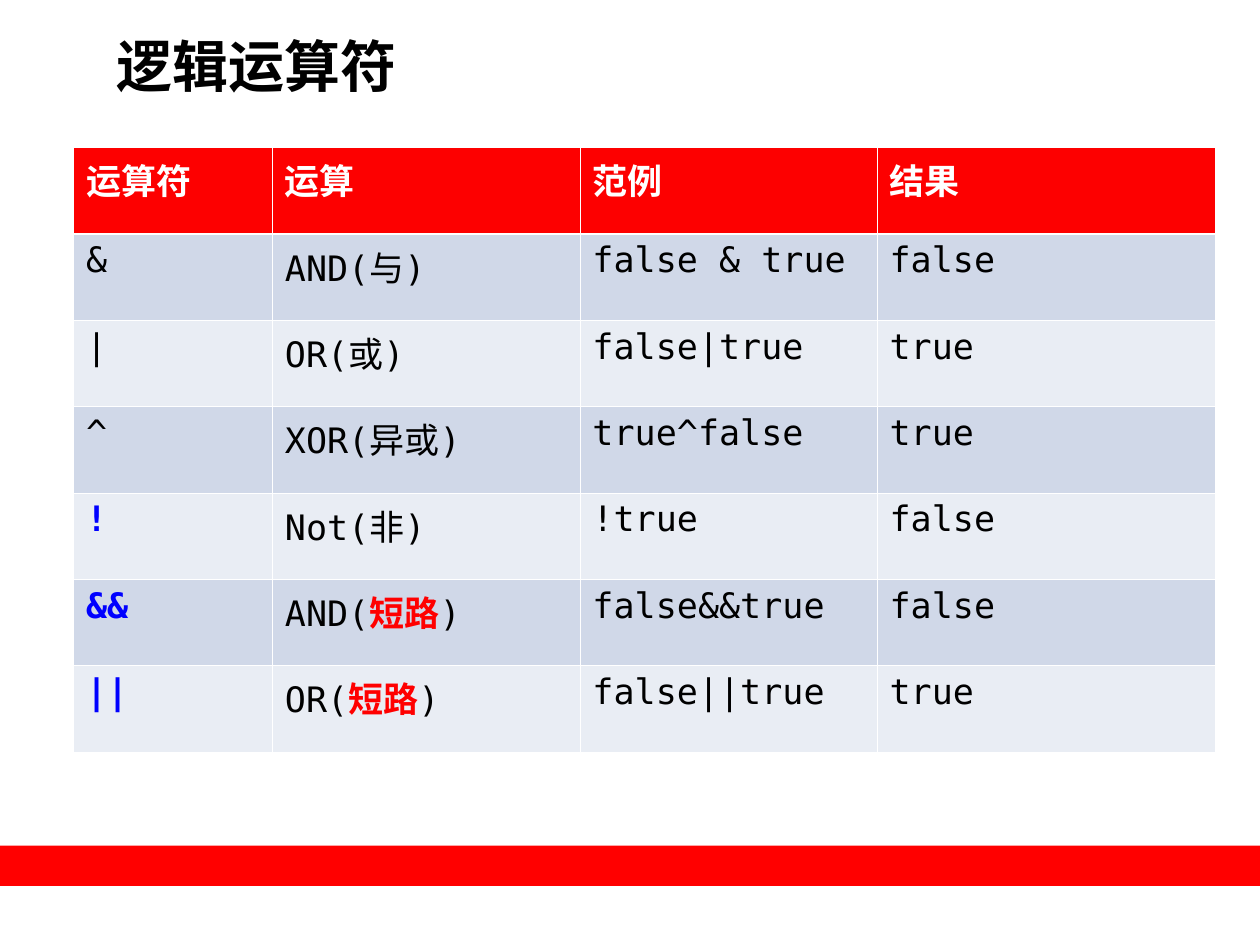
"""Build a slide with a table of logical operators."""
from dataclasses import dataclass

from lxml import etree
from pptx import Presentation
from pptx import util as u
from pptx.dml.color import RGBColor
from pptx.enum import shapes, text
from pptx.oxml import ns


@dataclass(frozen=True)
class Theme:
    font: str = "DejaVu Sans Mono"
    title_size: int = 32
    table_size: int = 20
    black: str = "000000"
    white: str = "FFFFFF"
    red: str = "FF0000"
    blue: str = "0000FF"
    header: str = "FD0000"
    bands: tuple[str, str] = ("D0D8E8", "E9EDF4")
    thin: float = 0.45
    thick: float = 1.47


@dataclass(frozen=True)
class Run:
    text: str
    color: str
    bold: bool = False


@dataclass(frozen=True)
class Operator:
    symbol: str
    name: str
    example: str
    result: str
    note: str
    strong_symbol: bool = False
    strong_note: bool = False


T = Theme()
HEADERS = ("运算符", "运算", "范例", "结果")
OPERATORS = (
    Operator("&", "AND", "false & true", "false", "与"),
    Operator("|", "OR", "false|true", "true", "或"),
    Operator("^", "XOR", "true^false", "true", "异或"),
    Operator("!", "Not", "!true", "false", "非", strong_symbol=True),
    Operator("&&", "AND", "false&&true", "false", "短路", True, True),
    Operator("||", "OR", "false||true", "true", "短路", True, True),
)
COL_WIDTHS = (4.01, 6.2, 5.99, 6.81)
ROW_HEIGHT = 1.74


def add_runs(p, runs: list[Run], size: int) -> None:
    for run in runs:
        r = p.add_run()
        r.text = run.text
        r.font.name = T.font
        r.font.size = u.Pt(size)
        r.font.bold = run.bold
        r.font.color.rgb = RGBColor.from_string(run.color)


def operation_runs(op: Operator) -> list[Run]:
    if not op.strong_note:
        return [Run(f"{op.name}({op.note})", T.black)]
    return [Run(f"{op.name}(", T.black), Run(op.note, T.red, True), Run(")", T.black)]


def operator_cells(op: Operator) -> list[list[Run]]:
    symbol = Run(op.symbol, T.blue if op.strong_symbol else T.black, op.strong_symbol)
    return [[symbol], operation_runs(op), [Run(op.example, T.black)], [Run(op.result, T.black)]]


def add_borders(cell, top: float, bottom: float) -> None:
    tc_pr = cell._tc.get_or_add_tcPr()
    for side, width in (("L", T.thin), ("R", T.thin), ("T", top), ("B", bottom)):
        ln = etree.SubElement(tc_pr, ns.qn(f"a:ln{side}"), w=str(u.Pt(width)))
        fill = etree.SubElement(ln, ns.qn("a:solidFill"))
        etree.SubElement(fill, ns.qn("a:srgbClr"), val=T.white)


def add_title(s, title: str) -> None:
    tf = s.shapes.add_textbox(u.Cm(2.34), u.Cm(0.64), u.Cm(22.02), u.Cm(1.9)).text_frame
    tf.word_wrap = True
    tf.vertical_anchor = text.MSO_ANCHOR.TOP
    tf.margin_left = tf.margin_top = tf.margin_right = tf.margin_bottom = 0
    add_runs(tf.paragraphs[0], [Run(title, T.black, True)], T.title_size)


def add_footer_band(s, width: int) -> None:
    sp = s.shapes.add_shape(shapes.MSO_SHAPE.RECTANGLE, 0, u.Cm(17.05), width, u.Cm(0.81))
    sp.shadow.inherit = False
    sp.fill.solid()
    sp.fill.fore_color.rgb = RGBColor.from_string(T.red)
    sp.line.fill.background()


def add_operator_table(s) -> None:
    rows = [[[Run(h, T.white, True)] for h in HEADERS], *map(operator_cells, OPERATORS)]
    table = s.shapes.add_table(
        len(rows), len(HEADERS), u.Cm(1.48), u.Cm(2.98),
        u.Cm(sum(COL_WIDTHS)), u.Cm(ROW_HEIGHT * len(rows)),
    ).table
    for column, width in zip(table.columns, COL_WIDTHS):
        column.width = u.Cm(width)
    for i, row in enumerate(rows):
        table.rows[i].height = u.Cm(ROW_HEIGHT)
        color = T.bands[(i - 1) % 2] if i else T.header
        for j, runs in enumerate(row):
            cell = table.cell(i, j)
            add_borders(cell, T.thick if i == 1 else T.thin, T.thick if i == 0 else T.thin)
            cell.fill.solid()
            cell.fill.fore_color.rgb = RGBColor.from_string(color)
            add_runs(cell.text_frame.paragraphs[0], runs, T.table_size)


def main() -> None:
    prs = Presentation()
    prs.slide_width, prs.slide_height = u.Cm(25.4), u.Cm(19.05)
    s = prs.slides.add_slide(prs.slide_layouts[6])
    add_footer_band(s, prs.slide_width)
    add_title(s, "逻辑运算符")
    add_operator_table(s)
    prs.save("out.pptx")


if __name__ == "__main__":
    main()
